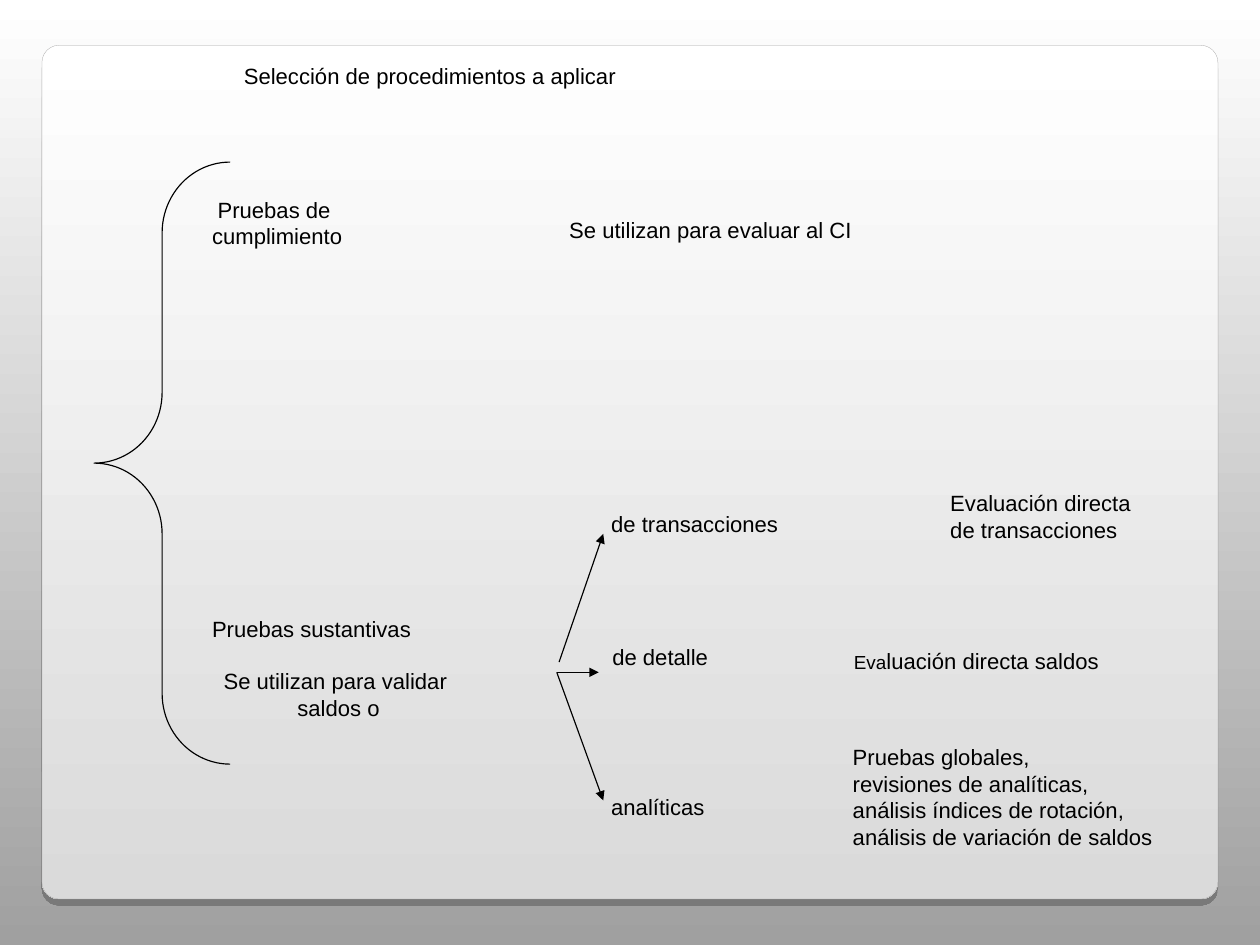
from dataclasses import dataclass

from lxml import etree
from pptx import Presentation
from pptx.dml.color import RGBColor
from pptx.dml.fill import FillFormat
from pptx.enum import shapes, text
from pptx.oxml import ns, parse_xml
from pptx.util import Emu, Inches, Pt

FONT = "Arial"
BLACK = "000000"
LEFT, CENTER = text.PP_ALIGN.LEFT, text.PP_ALIGN.CENTER


@dataclass
class Label:
    x: float
    y: float
    w: float
    lines: str
    align: text.PP_ALIGN = LEFT
    lead: str = ""  # opening letters set in a smaller size


@dataclass
class Arrow:
    x1: float
    y1: float
    x2: float
    y2: float


LABELS = [
    Label(1.76, 1.67, 1.37, "Pruebas de \ncumplimiento", CENTER),
    Label(1.76, 5.37, 1.98, "Pruebas sustantivas"),
    Label(1.86, 5.83, 2.25, "Se utilizan para validar \nsaldos o", CENTER),
    Label(4.91, 1.85, 2.72, "Se utilizan para evaluar al CI"),
    Label(5.28, 4.44, 1.7, "de transacciones"),
    Label(5.29, 5.62, 1.07, "de detalle"),
    Label(5.28, 6.94, 1.05, "analíticas"),
    Label(8.27, 4.26, 1.87, "Evaluación directa\nde transacciones"),
    Label(7.42, 5.65, 2.39, "luación directa saldos", lead="Eva"),
    Label(7.41, 6.5, 2.92, "Pruebas globales,\nrevisiones de analíticas,\n"
          "análisis índices de rotación,\nanálisis de variación de saldos"),
]
ARROWS = [
    Arrow(4.93, 5.84, 5.32, 4.71),
    Arrow(4.91, 5.93, 5.28, 5.93),
    Arrow(4.91, 5.93, 5.32, 7.06),
]


def rgb(value: str) -> RGBColor:
    return RGBColor.from_string(value)


def box(x: float, y: float, w: float, h: float) -> list:
    return [Inches(v) for v in (x, y, w, h)]


def fade_down(fill: FillFormat, top: str, bottom: str) -> None:
    fill.gradient()
    fill.gradient_angle = 270
    for stop, color in zip(fill.gradient_stops, (top, bottom)):
        stop.color.rgb = rgb(color)


def set_line(sp, color: str = BLACK, width: float = 0.75) -> None:
    sp.line.color.rgb = rgb(color)
    sp.line.width = Pt(width)


def write(tf, lines: str, *, align=LEFT, lead="", size=14, lead_size=12,
          color=BLACK, wrap=False) -> None:
    tf.word_wrap = wrap
    tf.auto_size = text.MSO_AUTO_SIZE.SHAPE_TO_FIT_TEXT
    tf.vertical_anchor = text.MSO_ANCHOR.TOP
    tf.margin_left = tf.margin_right = Inches(0.11)
    tf.margin_top = tf.margin_bottom = Inches(0.06)
    for i, line in enumerate(lines.split("\n")):
        p = tf.add_paragraph() if i else tf.paragraphs[0]
        p.alignment = align
        runs = [(line, size)]
        if lead and i == 0:
            runs.insert(0, (lead, lead_size))
        for content, points in runs:
            r = p.add_run()
            r.text = content
            r.font.name = FONT
            r.font.size = Pt(points)
            r.font.color.rgb = rgb(color)


def add_panel(s) -> None:
    sp = s.shapes.add_shape(shapes.MSO_SHAPE.ROUNDED_RECTANGLE,
                            *box(0.37, 0.4, 10.37, 7.53))
    sp.adjustments[0] = 0.02
    fade_down(sp.fill, "FFFFFF", "DADADA")
    set_line(sp, "A4A3A3", 0.17)
    sp._element.spPr.append(parse_xml(
        f'<a:effectLst {ns.nsdecls("a")}>'
        f'<a:outerShdw blurRad="0" dist="{Pt(4)}" dir="5400000" rotWithShape="0">'
        '<a:srgbClr val="000000"><a:alpha val="25000"/></a:srgbClr>'
        '</a:outerShdw></a:effectLst>'))


def add_brace(s) -> None:
    sp = s.shapes.add_shape(shapes.MSO_SHAPE.LEFT_BRACE,
                            *box(0.83, 1.43, 1.2, 5.31))
    sp.adjustments[0] = 0.52
    sp.shadow.inherit = False
    sp.fill.background()
    set_line(sp)


def add_title(s, content: str) -> None:
    title = s.shapes.title
    title.left, title.top, title.width, title.height = box(2.04, 0.49, 6.85, 0.34)
    write(title.text_frame, content, wrap=True)


def add_label(s, label: Label) -> None:
    height = 0.1 + 0.24 * (label.lines.count("\n") + 1)
    tb = s.shapes.add_textbox(*box(label.x, label.y, label.w, height))
    write(tb.text_frame, label.lines, align=label.align, lead=label.lead)


def add_arrow(s, arrow: Arrow) -> None:
    cx = s.shapes.add_connector(
        shapes.MSO_CONNECTOR.STRAIGHT,
        *box(arrow.x1, arrow.y1, arrow.x2, arrow.y2))
    set_line(cx)
    etree.SubElement(cx.line._get_or_add_ln(), ns.qn("a:tailEnd"), type="triangle")
    etree.SubElement(cx._element.spPr, ns.qn("a:effectLst"))


def main() -> None:
    prs = Presentation()
    prs.slide_width, prs.slide_height = Emu(10160000), Emu(7621588)
    s = prs.slides.add_slide(prs.slide_layouts.get_by_name("Title Only"))
    fade_down(s.background.fill, "FFFFFF", "A0A0A0")
    add_panel(s)
    # The title placeholder comes first, so the panel moves behind it.
    s.shapes.title._element.addprevious(s.shapes[-1]._element)
    add_title(s, "Selección de procedimientos a aplicar")
    add_brace(s)
    for label in LABELS:
        add_label(s, label)
    for arrow in ARROWS:
        add_arrow(s, arrow)
    prs.save("out.pptx")


if __name__ == "__main__":
    main()
